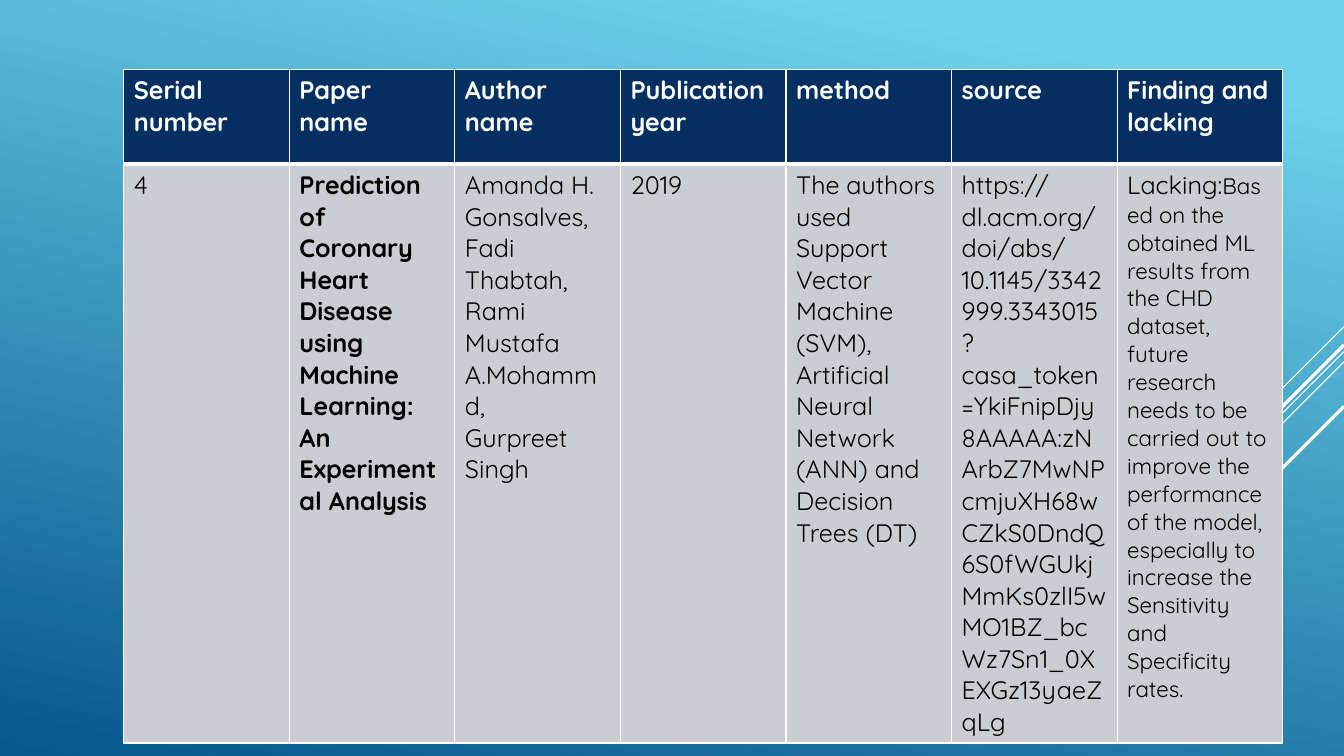
from dataclasses import dataclass

from lxml.etree import SubElement
from pptx import Presentation
from pptx.dml.color import RGBColor as Color
from pptx.enum.shapes import MSO_CONNECTOR as Connector
from pptx.oxml.ns import qn
from pptx.util import Cm, Pt


@dataclass(frozen=True)
class Theme:
    font: str = "Quicksand"
    sky: str = "6ED2EB"
    deep: str = "06588E"
    navy: str = "052F61"
    grey: str = "CCCDD2"
    white: str = "FFFFFF"
    black: str = "000000"
    size: int = 18
    small: int = 16
    thin: float = 1
    thick: float = 3


THEME = Theme()

# Diagonal accents: right-hand x, top y, horizontal run (cm), line width (pt)
ACCENTS = [
    (33.87, 8.23, 2.54, 0.75),
    (33.87, 8.86, 8.28, 0.75),
    (33.87, 9.12, 5.27, 0.75),
    (33.87, 8.69, 4.85, 2.25),
    (33.87, 10.24, 3.53, 2.25),
]

HEADERS = ["Serial number", "Paper name", "Author name", "Publication year",
           "method", "source", "Finding and lacking"]

# Each cell is a list of paragraphs
PAPER = [
    ["4"],
    ["Prediction of Coronary Heart Disease using Machine Learning: "
     "An Experimental Analysis"],
    ["Amanda H. Gonsalves, Fadi Thabtah,", "Rami Mustafa A.Mohammd,",
     "Gurpreet Singh"],
    ["2019"],
    ["The authors used Support Vector Machine (SVM), Artificial Neural "
     "Network (ANN) and Decision Trees (DT)"],
    ["https://dl.acm.org/doi/abs/10.1145/3342999.3343015?casa_token="
     "YkiFnipDjy8AAAAA:zNArbZ7MwNPcmjuXH68wCZkS0DndQ6S0fWGUkjMmKs0zlI5w"
     "MO1BZ_bcWz7Sn1_0XEXGz13yaeZqLg"],
    ["Lacking:"],
]
LACKING = ("Based on the obtained ML results from the CHD dataset, future "
           "research needs to be carried out to improve the performance of "
           "the model, especially to increase the Sensitivity and "
           "Specificity rates.")
PAPER_NAME_COLUMN = 1


def paint_background(page):
    fill = page.background.fill
    fill.gradient()
    fill.gradient_angle = 258
    stops = zip(fill.gradient_stops, (0.1, 1), (THEME.sky, THEME.deep))
    for stop, position, color in stops:
        stop.position = position
        stop.color.rgb = Color.from_string(color)


def add_accent(page, right, top, run, width):
    line = page.shapes.add_connector(
        Connector.STRAIGHT, Cm(right), Cm(top), Cm(right - run), Cm(top + run))
    line.line.color.rgb = Color.from_string(THEME.white)
    line.line.width = Pt(width)
    SubElement(line._element.spPr, qn("a:effectLst"))


def add_text(para, text, size=THEME.size, color=THEME.black, bold=False):
    span = para.add_run()
    span.text = text
    span.font.name = THEME.font
    span.font.size = Pt(size)
    span.font.bold = bold
    span.font.color.rgb = Color.from_string(color)


def style_cell(cell, fill, top=THEME.thin, bottom=THEME.thin):
    properties = cell._tc.get_or_add_tcPr()
    widths = {"L": THEME.thin, "R": THEME.thin, "T": top, "B": bottom}
    for side, width in widths.items():
        border = SubElement(properties, qn(f"a:ln{side}"), w=str(Pt(width)))
        solid = SubElement(border, qn("a:solidFill"))
        SubElement(solid, qn("a:srgbClr"), val=THEME.white)
    cell.fill.solid()
    cell.fill.fore_color.rgb = Color.from_string(fill)


def fill_cell(cell, paragraphs, **text_format):
    frame = cell.text_frame
    for index, text in enumerate(paragraphs):
        para = frame.add_paragraph() if index else frame.paragraphs[0]
        add_text(para, text, **text_format)


def add_paper_table(page):
    table = page.shapes.add_table(
        2, len(HEADERS), Cm(3.12), Cm(1.75), Cm(29.21), Cm(14.76)).table
    for row, height in zip(table.rows, (2.39, 12.37)):
        row.height = Cm(height)

    for column, (header, paragraphs) in enumerate(zip(HEADERS, PAPER)):
        head, body = table.cell(0, column), table.cell(1, column)
        style_cell(head, THEME.navy, bottom=THEME.thick)
        fill_cell(head, [header], color=THEME.white, bold=True)
        style_cell(body, THEME.grey, top=THEME.thick)
        fill_cell(body, paragraphs, bold=column == PAPER_NAME_COLUMN)

    # The finding continues its label in smaller type
    add_text(body.text_frame.paragraphs[0], LACKING, size=THEME.small)


def main():
    deck = Presentation()
    deck.slide_width, deck.slide_height = Cm(33.87), Cm(19.05)
    page = deck.slides.add_slide(deck.slide_layouts[6])
    paint_background(page)
    for accent in ACCENTS:
        add_accent(page, *accent)
    add_paper_table(page)
    deck.save("out.pptx")


if __name__ == "__main__":
    main()
